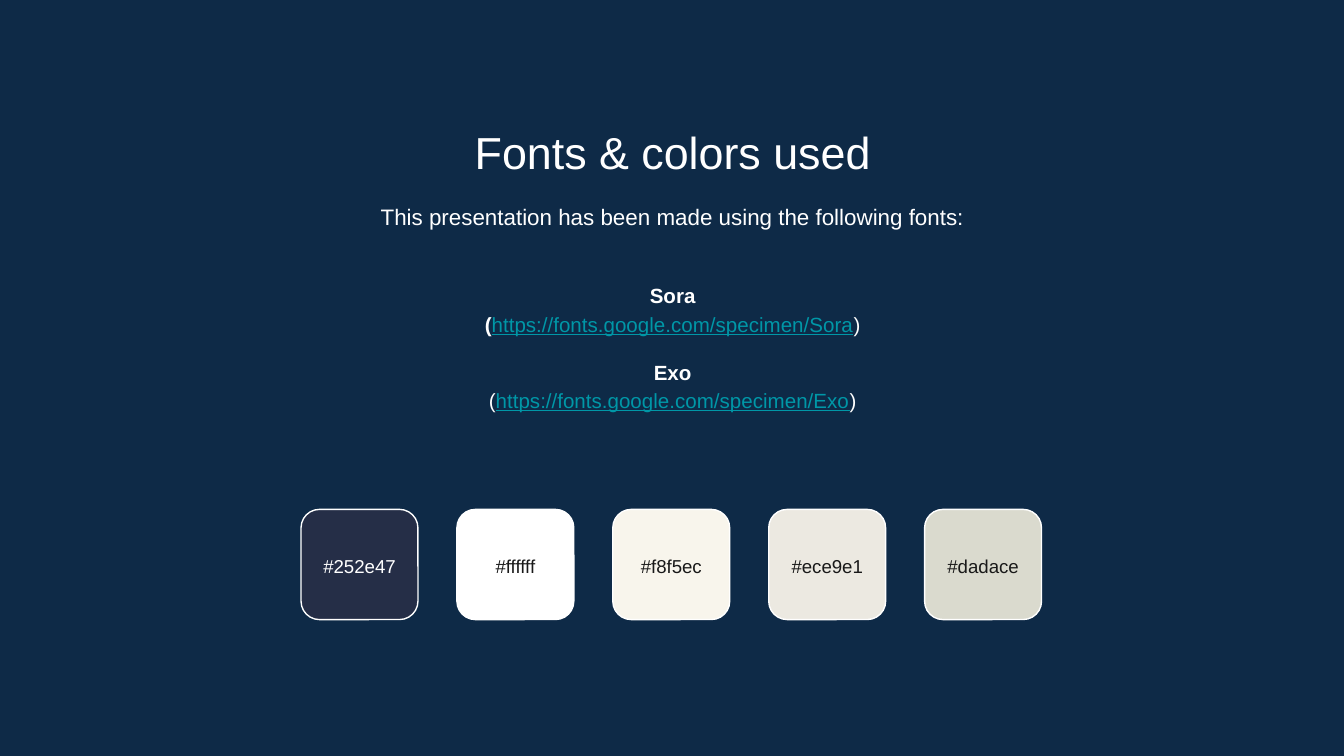
from pptx import Presentation
from pptx.dml.color import RGBColor
from pptx.enum import shapes, text
from pptx.util import Inches, Pt

WHITE, INK, NAVY, LINK = "FFFFFF", "191919", "0E2A47", "0097A7"
LEFT, WIDTH = 1.15, 7.71


def rgb(hex_code):
    return RGBColor.from_string(hex_code.upper())


class SlideBuilder:
    font = "Arial"
    inset = Inches(0.1)

    def __init__(self, prs):
        self.s = prs.slides.add_slide(prs.slide_layouts[5])

    def background(self, color):
        fill = self.s.background.fill
        fill.solid()
        fill.fore_color.rgb = rgb(color)

    def frame(self, sp, anchor):
        tf = sp.text_frame
        tf.word_wrap = True
        tf.auto_size = text.MSO_AUTO_SIZE.NONE
        tf.vertical_anchor = anchor
        tf.margin_left = tf.margin_right = self.inset
        tf.margin_top = tf.margin_bottom = self.inset
        return tf

    def paragraph(self, p, runs, size, spacing=1.0, before=0):
        """Fill p with runs given as (text, color, bold, underline)."""
        p.alignment = text.PP_ALIGN.CENTER
        p.line_spacing = spacing
        p.space_before = Pt(before)
        for words, color, bold, underline in runs:
            r = p.add_run()
            r.text = words
            r.font.name = self.font
            r.font.size = Pt(size)
            r.font.bold = bold
            r.font.underline = underline
            r.font.color.rgb = rgb(color)

    def title(self, words, x, y, w, h, size):
        sp = self.s.shapes.title
        sp.left, sp.top, sp.width, sp.height = map(Inches, (x, y, w, h))
        tf = self.frame(sp, text.MSO_ANCHOR.TOP)
        self.paragraph(tf.paragraphs[0], [(words, WHITE, False, False)], size)

    def textbox(self, x, y, w, h, anchor=text.MSO_ANCHOR.MIDDLE):
        sp = self.s.shapes.add_textbox(*map(Inches, (x, y, w, h)))
        return self.frame(sp, anchor)

    def swatch(self, color, label_color, x, y, w, h):
        """Rounded square in the color, with its hex code over the middle."""
        sp = self.s.shapes.add_shape(
            shapes.MSO_SHAPE.ROUNDED_RECTANGLE, *map(Inches, (x, y, w, h)))
        sp.shadow.inherit = False
        sp.fill.solid()
        sp.fill.fore_color.rgb = rgb(color)
        sp.line.color.rgb = rgb(WHITE)
        sp.line.width = Pt(0.75)
        tf = self.textbox(x, y + 0.18, w, 0.48)
        self.paragraph(tf.paragraphs[0],
                       [("#" + color, label_color, False, False)], 10)


def main():
    prs = Presentation()
    prs.slide_width = Inches(10)
    prs.slide_height = prs.slide_width * 9 // 16
    b = SlideBuilder(prs)
    b.background(NAVY)
    b.title("Fonts & colors used", LEFT, 0.83, WIDTH, 0.53, 24)

    intro = b.textbox(LEFT, 1.38, WIDTH, 0.48, text.MSO_ANCHOR.TOP)
    b.paragraph(intro.paragraphs[0], [(
        "This presentation has been made using the following fonts:",
        WHITE, False, False)], 12, 1.15)

    fonts = b.textbox(LEFT, 1.89, WIDTH, 1.37)
    p = fonts.paragraphs[0]
    for name, bold_bracket, gap in (("Sora", True, 0), ("Exo", False, 10.6)):
        if gap:
            p = fonts.add_paragraph()
        b.paragraph(p, [(name, WHITE, True, False)], 11, 1.15, gap)
        b.paragraph(fonts.add_paragraph(), [
            ("(", WHITE, bold_bracket, False),
            ("https://fonts.google.com/specimen/" + name, LINK, False, True),
            (")", WHITE, False, False)], 11, 1.15)

    palette = ["252e47", "ffffff", "f8f5ec", "ece9e1", "dadace"]
    for i, color in enumerate(palette):
        label_color = WHITE if i == 0 else INK
        b.swatch(color, label_color, 2.24 + 1.16 * i, 3.79, 0.87, 0.82)

    prs.save("out.pptx")


if __name__ == "__main__":
    main()
